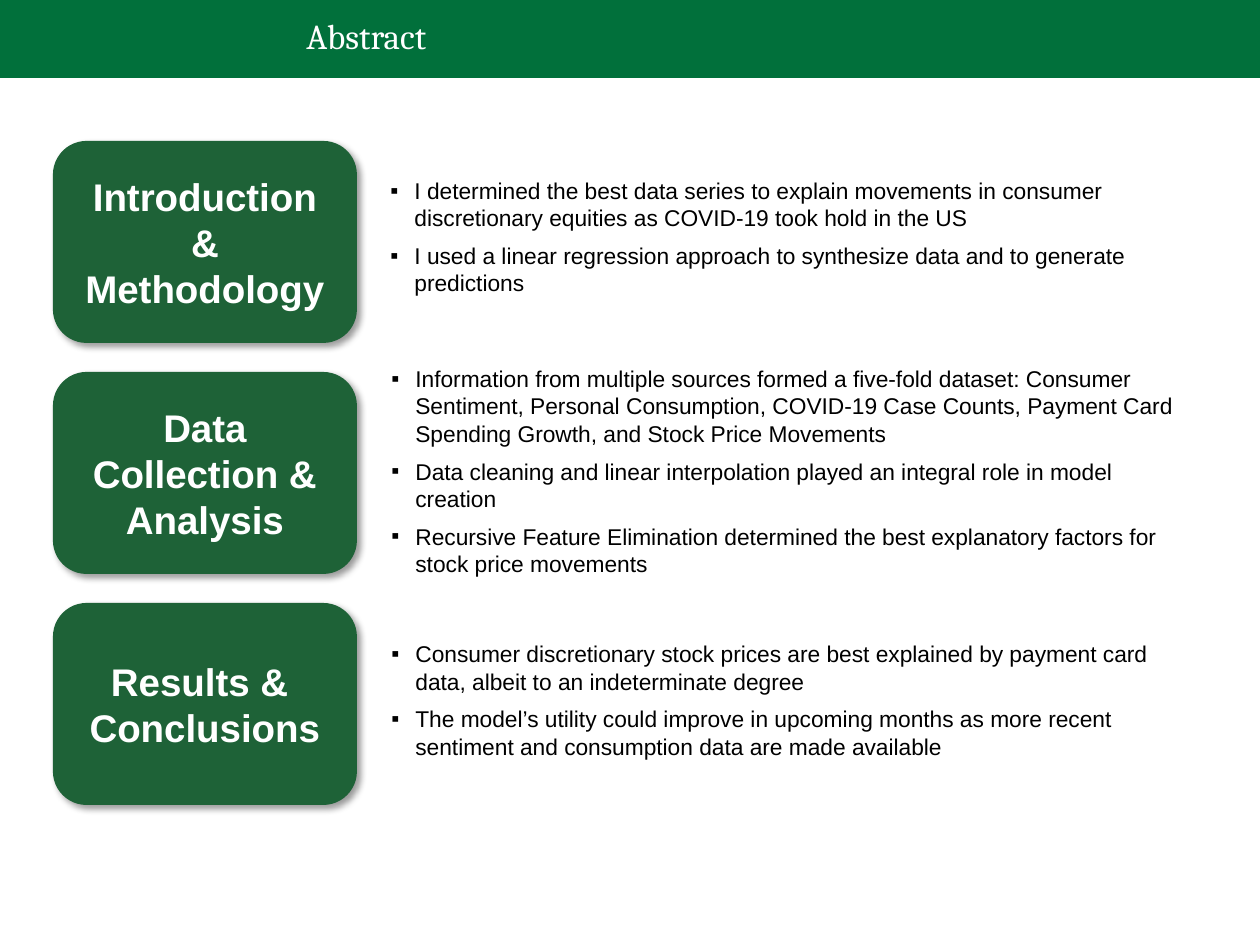
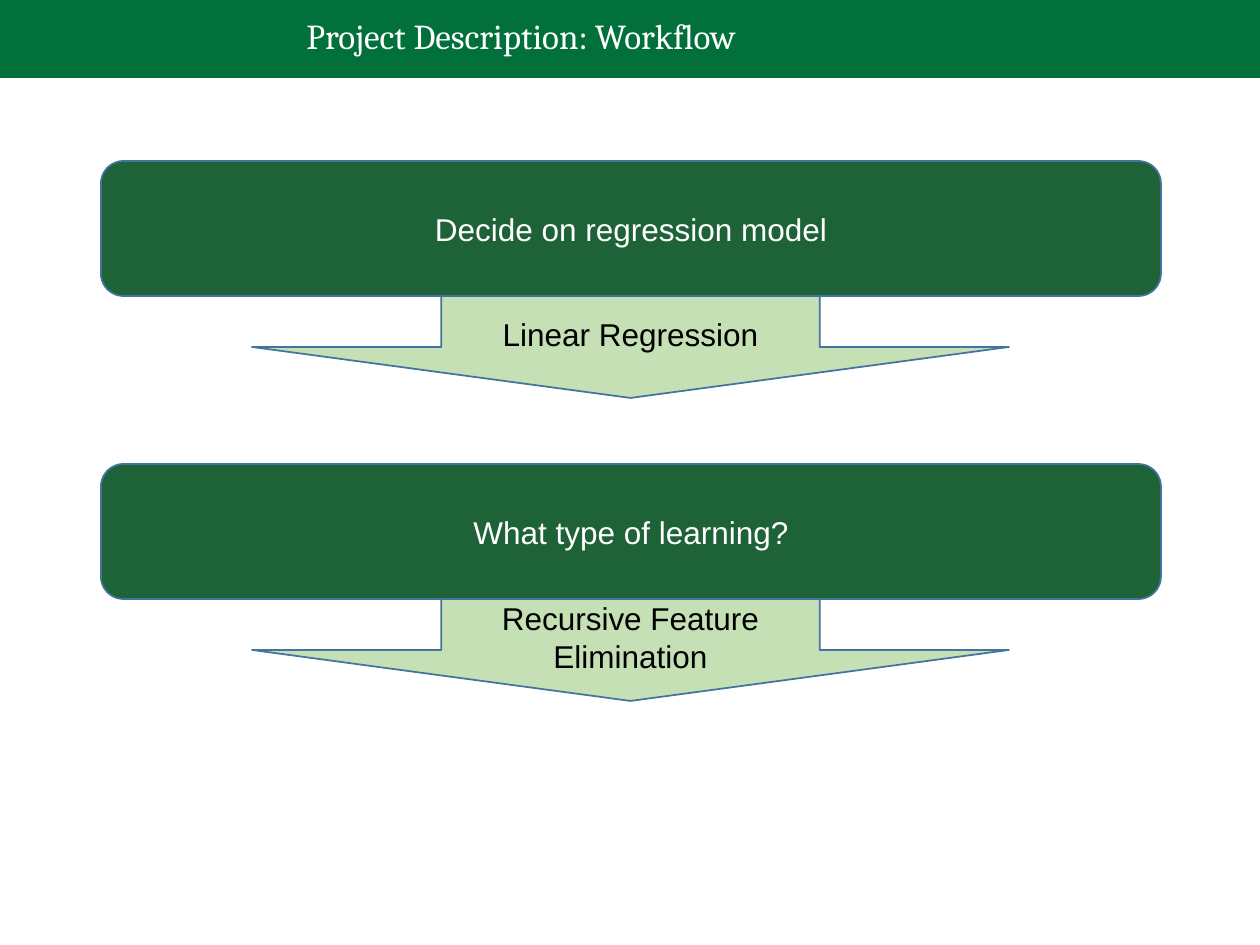
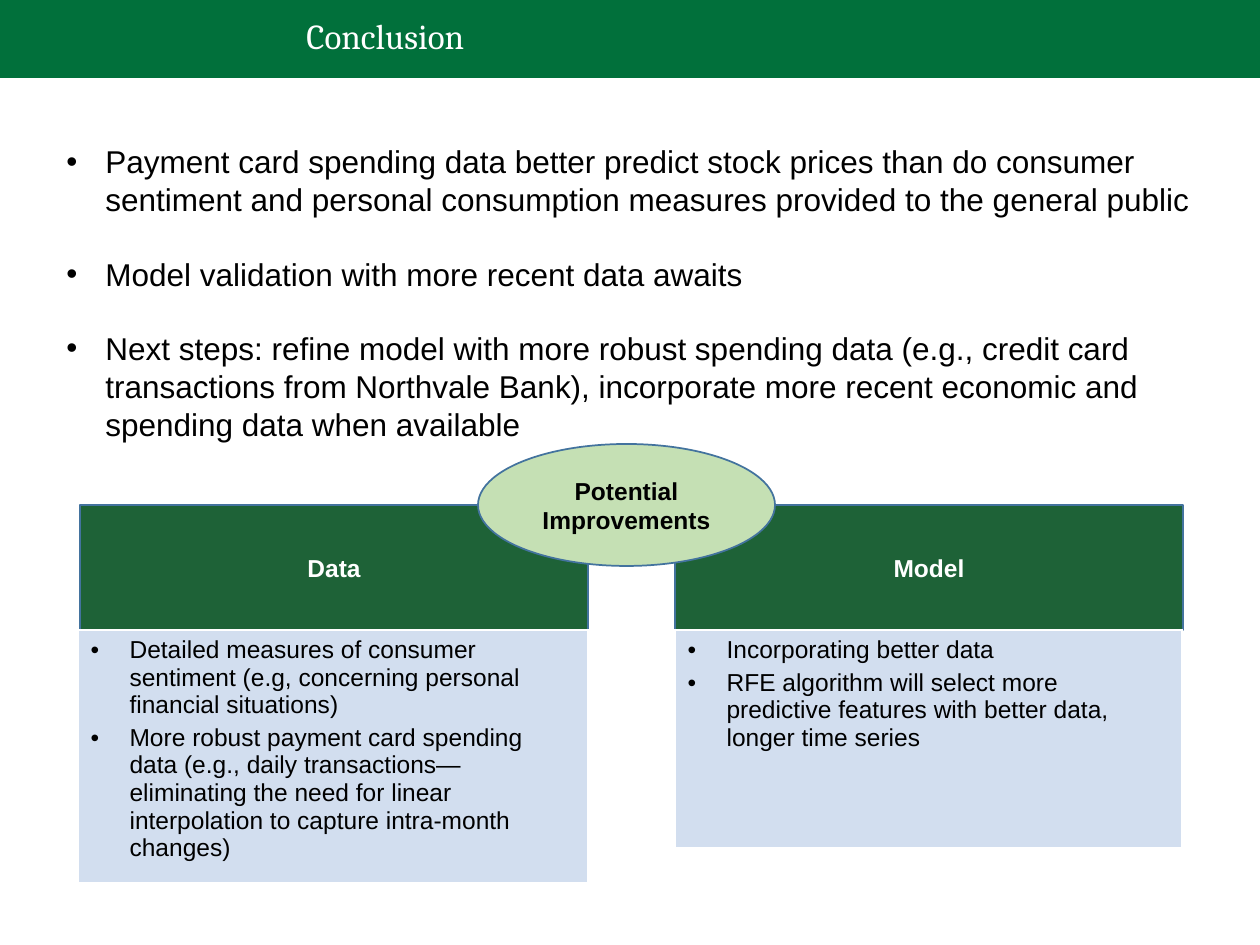
"""Build a three-page project summary with green title bands."""
from dataclasses import dataclass

from lxml import etree
from pptx import Presentation
from pptx import util as u
from pptx.dml.color import RGBColor
from pptx.enum import shapes, text
from pptx.oxml import ns

PX = u.Inches(1) / 126
KIND = shapes.MSO_SHAPE
MIDDLE = text.MSO_ANCHOR.MIDDLE


@dataclass(frozen=True)
class Theme:
    """Hold the colours, fonts and type sizes."""
    band: RGBColor = RGBColor.from_string("01703B")
    dark: RGBColor = RGBColor.from_string("1E6237")
    light: RGBColor = RGBColor.from_string("C5E0B4")
    pale: RGBColor = RGBColor.from_string("D2DEEF")
    outline: RGBColor = RGBColor.from_string("43739E")
    white: RGBColor = RGBColor.from_string("FFFFFF")
    black: RGBColor = RGBColor.from_string("000000")
    body_font: str = "Arial"
    title_font: str = "Cambria"
    title: int = 20
    topic: int = 22
    step: int = 18
    note: int = 14
    detail: int = 13


THEME = Theme()


def px(length):
    """Turn a length in px into EMU."""
    return u.Emu(round(length * PX))


def area(*lengths):
    """Turn left, top, width and height in px into EMU."""
    return [px(length) for length in lengths]


def sub(parent, tag, **attributes):
    """Append a DrawingML element to its parent."""
    child = etree.SubElement(parent, ns.qn(f"a:{tag}"))
    for name, value in attributes.items():
        child.set(name, str(value))
    return child


def write(frame, lines, size, color=THEME.black, font=THEME.body_font,
          bold=False, centred=False, anchor=None, bullet=None, indent=39,
          gap=0, after=0, leading=None):
    """Fill a text frame with one paragraph per line."""
    frame.word_wrap = True
    if anchor is not None:
        frame.vertical_anchor = anchor
    for index, line in enumerate(lines):
        para = frame.add_paragraph() if index else frame.paragraphs[0]
        para.alignment = text.PP_ALIGN.CENTER if centred else text.PP_ALIGN.LEFT
        para.space_before = u.Pt(gap if index else 0)
        para.space_after = u.Pt(after)
        if leading:
            para.line_spacing = leading
        span = para.add_run()
        span.text = line
        span.font.name = font
        span.font.size = u.Pt(size)
        span.font.bold = bold
        span.font.color.rgb = color
        if bullet:
            properties = para._p.get_or_add_pPr()
            properties.set("marL", str(px(indent)))
            properties.set("indent", str(-px(indent)))
            sub(properties, "buFont", typeface=font)
            sub(properties, "buChar", char=bullet)


def add_text(page, place, lines, size, **style):
    """Add a wrapped text box."""
    box = page.shapes.add_textbox(*area(*place))
    write(box.text_frame, lines, size, **style)


def add_box(page, kind, place, fill, outline=THEME.outline):
    """Add a flat preset shape with an optional outline."""
    box = page.shapes.add_shape(kind, *area(*place))
    box.shadow.inherit = False
    box.fill.solid()
    box.fill.fore_color.rgb = fill
    if outline is None:
        box.line.fill.background()
    else:
        box.line.color.rgb = outline
        box.line.width = u.Pt(1)
    return box


def add_label(page, kind, place, lines, size, fill=THEME.dark,
              color=THEME.white, bold=False, outline=THEME.outline):
    """Add a shape with centred text."""
    box = add_box(page, kind, place, fill, outline)
    write(box.text_frame, lines, size, color=color, bold=bold, centred=True,
          anchor=MIDDLE)
    return box


def cast_shadow(box):
    """Give a shape a soft shadow to the lower right."""
    effects = box._element.spPr.find(ns.qn("a:effectLst"))
    shadow = sub(effects, "outerShdw", blurRad=u.Pt(4), dist=u.Pt(3),
                 dir=45 * 60000, algn="tl", rotWithShape=0)
    sub(sub(shadow, "srgbClr", val=THEME.black), "alpha", val=40000)


def add_topic(page, top, label, details, place):
    """Add a shadowed topic box and its bulleted details."""
    box = add_label(page, KIND.ROUNDED_RECTANGLE, (53, top, 304, 202), label,
                    THEME.topic, bold=True, outline=None)
    cast_shadow(box)
    add_text(page, place, details, THEME.detail, anchor=MIDDLE, bullet="▪",
             indent=24, after=6)


def add_step(page, top, question, answer):
    """Add a workflow question with the answer in an arrow below."""
    add_label(page, KIND.ROUNDED_RECTANGLE, (101, top, 1060, 135), [question],
              THEME.step)
    add_label(page, KIND.DOWN_ARROW, (252, top + 135, 757, 102), [answer],
              THEME.step, fill=THEME.light, color=THEME.black)


def add_panel(page, left, heading, place, points):
    """Add a heading above a one-cell table of points."""
    add_label(page, KIND.RECTANGLE, (left, 505, 508, 125), [heading],
              THEME.note, bold=True)
    table = page.shapes.add_table(1, 1, *area(*place)).table
    table.first_row = False
    table.horz_banding = False
    cell = table.cell(0, 0)
    write(cell.text_frame, points, THEME.note, bullet="•", gap=3)
    properties = cell._tc.get_or_add_tcPr()
    for side in ("lnL", "lnR", "lnT", "lnB"):
        border = sub(properties, side, w=u.Pt(1))
        sub(sub(border, "solidFill"), "srgbClr", val=THEME.white)
    cell.fill.solid()
    cell.fill.fore_color.rgb = THEME.pale


def add_page(deck, title):
    """Add a blank page with the title band."""
    page = deck.slides.add_slide(deck.slide_layouts[6])
    add_box(page, KIND.RECTANGLE, (0, 0, 1260, 78), THEME.band, outline=None)
    add_text(page, (294, 1, 966, 74), [title], THEME.title, color=THEME.white,
             font=THEME.title_font, anchor=MIDDLE, leading=0.9)
    return page


def build_abstract(deck):
    """Build the abstract page."""
    page = add_page(deck, "Abstract")
    topics = [
        (["Introduction & Methodology"],
         ["I determined the best data series to explain movements in consumer "
          "discretionary equities as COVID-19 took hold in the US",
          "I used a linear regression approach to synthesize data and to "
          "generate predictions"],
         (378, 150, 828, 173)),
        (["Data Collection & Analysis"],
         ["Information from multiple sources formed a five-fold dataset: "
          "Consumer Sentiment, Personal Consumption, COVID-19 Case Counts, "
          "Payment Card Spending Growth, and Stock Price Movements",
          "Data cleaning and linear interpolation played an integral role in "
          "model creation",
          "Recursive Feature Elimination determined the best explanatory "
          "factors for stock price movements"],
         (379, 370, 828, 202)),
        (["Results & ", "Conclusions"],
         ["Consumer discretionary stock prices are best explained by payment "
          "card data, albeit to an indeterminate degree",
          "The model’s utility could improve in upcoming months as more recent "
          "sentiment and consumption data are made available"],
         (379, 599, 828, 202)),
    ]
    for index, (label, details, place) in enumerate(topics):
        add_topic(page, 141 + 231 * index, label, details, place)


def build_workflow(deck):
    """Build the workflow page."""
    page = add_page(deck, "Project Description: Workflow")
    steps = [("Decide on regression model", "Linear Regression"),
             ("What type of learning?", "Recursive Feature Elimination")]
    for index, (question, answer) in enumerate(steps):
        add_step(page, 161 + 303 * index, question, answer)


def build_conclusion(deck):
    """Build the conclusion page."""
    page = add_page(deck, "Conclusion")
    add_text(page, (54, 136, 1153, 285), [
        "Payment card spending data better predict stock prices than do "
        "consumer sentiment and personal consumption measures provided to the "
        "general public",
        "Model validation with more recent data awaits",
        "Next steps: refine model with more robust spending data (e.g., credit "
        "card transactions from Northvale Bank), incorporate more recent "
        "economic and spending data when available",
    ], THEME.step, bullet="•", gap=21)
    add_panel(page, 80, "Data", (78, 630, 510, 223), [
        "Detailed measures of consumer sentiment (e.g, concerning personal "
        "financial situations)",
        "More robust payment card spending data (e.g., daily "
        "transactions—eliminating the need for linear interpolation to capture "
        "intra-month changes)",
    ])
    add_panel(page, 675, "Model", (675, 630, 507, 218), [
        "Incorporating better data",
        "RFE algorithm will select more predictive features with better data, "
        "longer time series",
    ])
    add_label(page, KIND.OVAL, (478, 444, 297, 122),
              ["Potential Improvements"], THEME.note, fill=THEME.light,
              color=THEME.black, bold=True)


def main():
    """Build and save the deck."""
    deck = Presentation()
    deck.slide_width, deck.slide_height = px(1260), px(945)
    build_abstract(deck)
    build_workflow(deck)
    build_conclusion(deck)
    deck.save("out.pptx")


if __name__ == "__main__":
    main()
